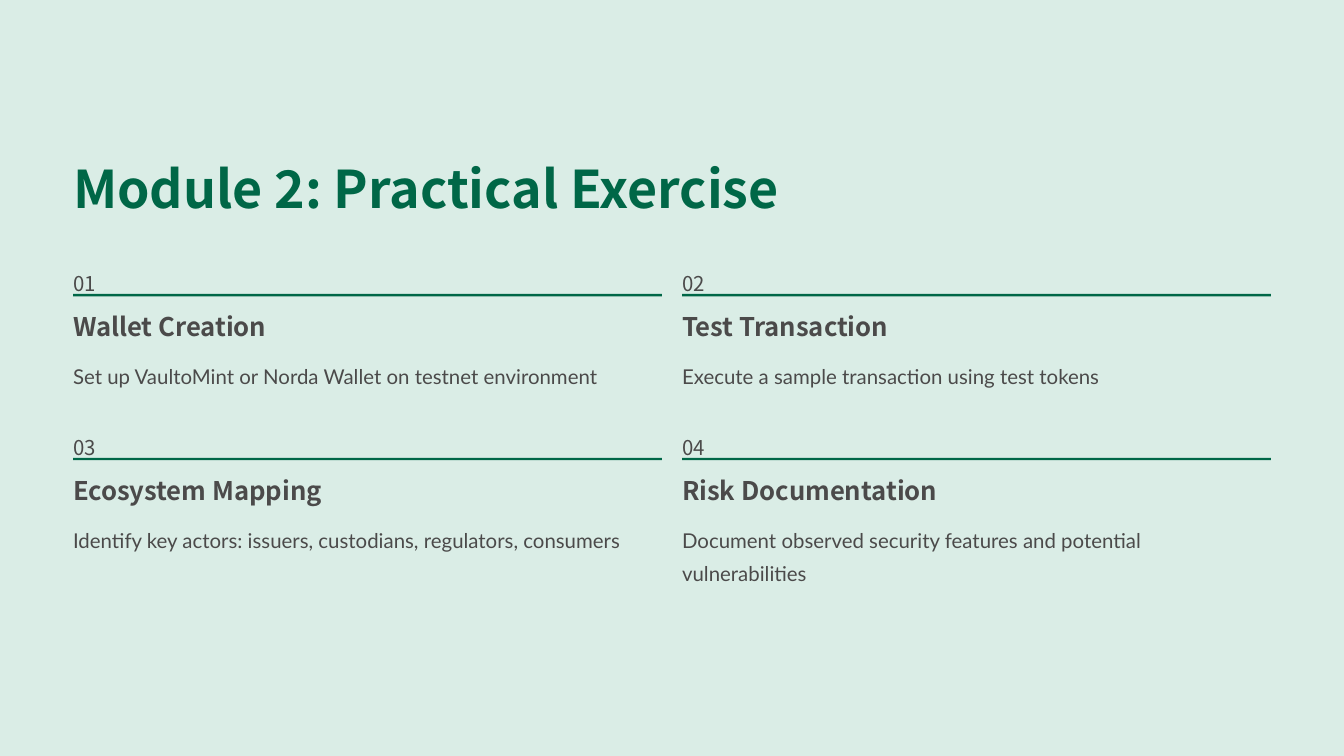
import pptx
import pptx.util
import pptx.dml.color
import pptx.enum.shapes
import pptx.enum.text
from dataclasses import dataclass

TITLE = "Module 2: Practical Exercise"
STEPS = [
    ("Wallet Creation", "Set up VaultoMint or Norda Wallet on testnet environment"),
    ("Test Transaction", "Execute a sample transaction using test tokens"),
    ("Ecosystem Mapping", "Identify key actors: issuers, custodians, regulators, consumers"),
    ("Risk Documentation", "Document observed security features and potential vulnerabilities"),
]

Inches = pptx.util.Inches
Pt = pptx.util.Pt


@dataclass(frozen=True)
class Theme:
    background: str = "DAEDE6"
    green: str = "006747"
    grey: str = "4B4A4A"
    head_font: str = "Noto Sans CJK SC"
    body_font: str = "Lato"
    title_size: float = 44.5
    step_size: float = 22
    body_size: float = 17.5


THEME = Theme()
STYLES = {
    "title": (THEME.head_font, THEME.title_size, True, THEME.green, 55.5),
    "number": (THEME.head_font, THEME.body_size, False, THEME.grey, 28.5),
    "step": (THEME.head_font, THEME.step_size, True, THEME.grey, 27.5),
    "body": (THEME.body_font, THEME.body_size, False, THEME.grey, 28.5),
}
LEFT, TOP = 0.87, 3.12
COLUMN_W, COLUMN_STEP, ROW_STEP = 7.01, 7.25, 1.95
RULE_DY, STEP_DY, BODY_DY = 0.38, 0.57, 1.11


def rgb(value):
    return pptx.dml.color.RGBColor.from_string(value)


def write(sp, text, style, wrap):
    font, size, bold, color, spacing = STYLES[style]
    tf = sp.text_frame
    frame = {
        "margin_left": 0, "margin_top": 0, "margin_right": 0, "margin_bottom": 0,
        "auto_size": pptx.enum.text.MSO_AUTO_SIZE.NONE,
        "vertical_anchor": pptx.enum.text.MSO_ANCHOR.TOP,
        "word_wrap": wrap,
    }
    for name, value in frame.items():
        setattr(tf, name, value)
    p = tf.paragraphs[0]
    p.alignment = pptx.enum.text.PP_ALIGN.LEFT
    p.line_spacing = Pt(spacing)
    r = p.add_run()
    r.text = text
    for name, value in {"name": font, "size": Pt(size), "bold": bold}.items():
        setattr(r.font, name, value)
    r.font.color.rgb = rgb(color)


def add_text(s, x, y, w, h, text, style, wrap=False):
    sp = s.shapes.add_textbox(Inches(x), Inches(y), Inches(w), Inches(h))
    write(sp, text, style, wrap)


def add_rule(s, x, y):
    sp = s.shapes.add_shape(
        pptx.enum.shapes.MSO_SHAPE.RECTANGLE,
        Inches(x), Inches(y), Inches(COLUMN_W), Inches(0.03))
    sp.shadow.inherit = False
    sp.fill.solid()
    sp.fill.fore_color.rgb = rgb(THEME.green)
    sp.line.fill.background()


def add_step(s, index, heading, body):
    row, column = divmod(index, 2)
    x, y = LEFT + column * COLUMN_STEP, TOP + row * ROW_STEP
    add_text(s, x, y, 0.25, 0.31, f"{index + 1:02d}", "number")
    add_rule(s, x, y + RULE_DY)
    add_text(s, x, y + STEP_DY, 3.2, 0.39, heading, "step")
    add_text(s, x, y + BODY_DY, COLUMN_W, 0.79, body, "body", wrap=True)


def main():
    prs = pptx.Presentation()
    prs.slide_width, prs.slide_height = Inches(16), Inches(9)
    s = prs.slides.add_slide(prs.slide_layouts[5])
    s.background.fill.solid()
    s.background.fill.fore_color.rgb = rgb(THEME.background)

    title = s.shapes.title
    box = {"left": LEFT, "top": 1.84, "width": 8.9, "height": 0.78}
    for name, value in box.items():
        setattr(title, name, Inches(value))
    write(title, TITLE, "title", False)

    for index, (heading, body) in enumerate(STEPS):
        add_step(s, index, heading, body)
    prs.save("out.pptx")


if __name__ == "__main__":
    main()
